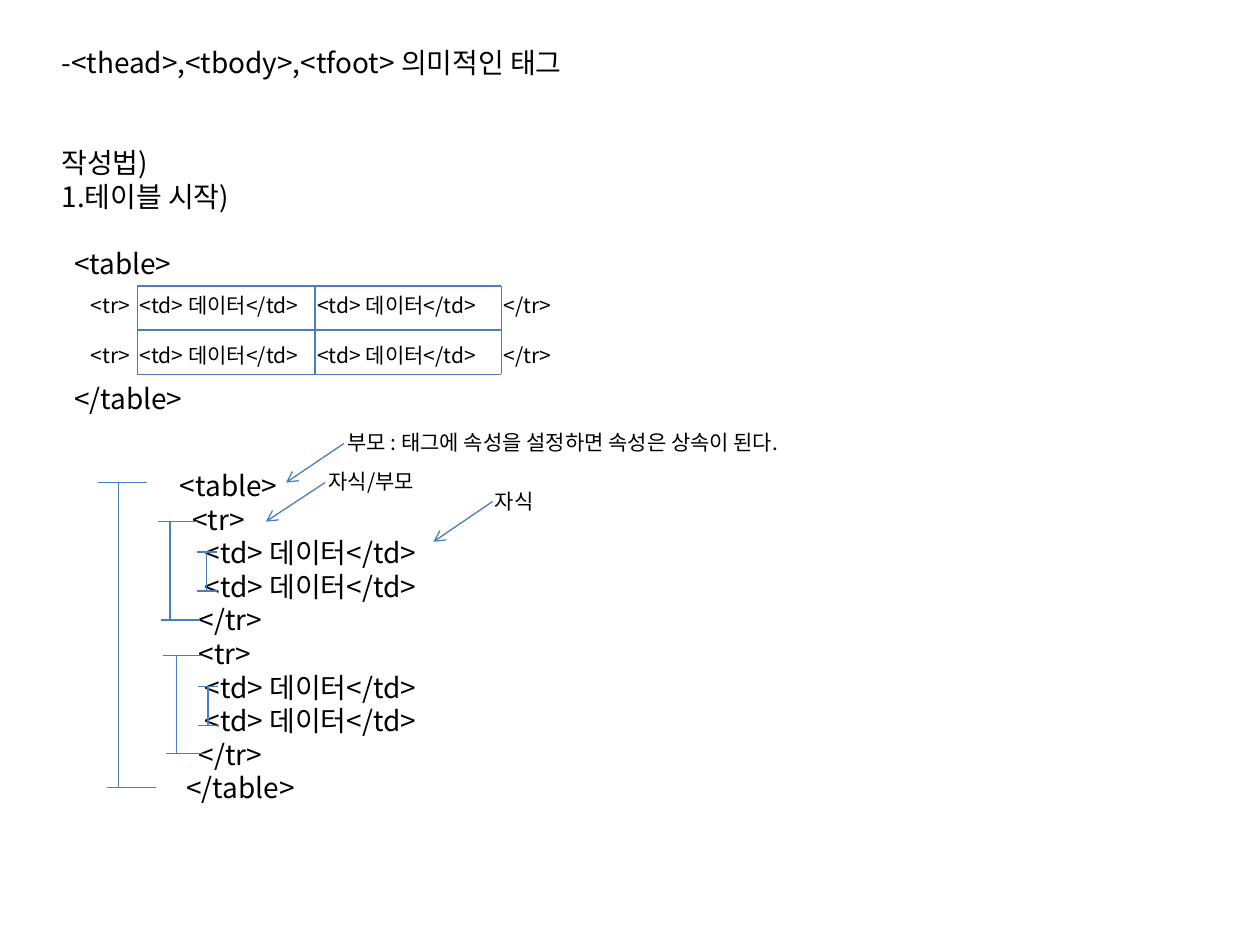
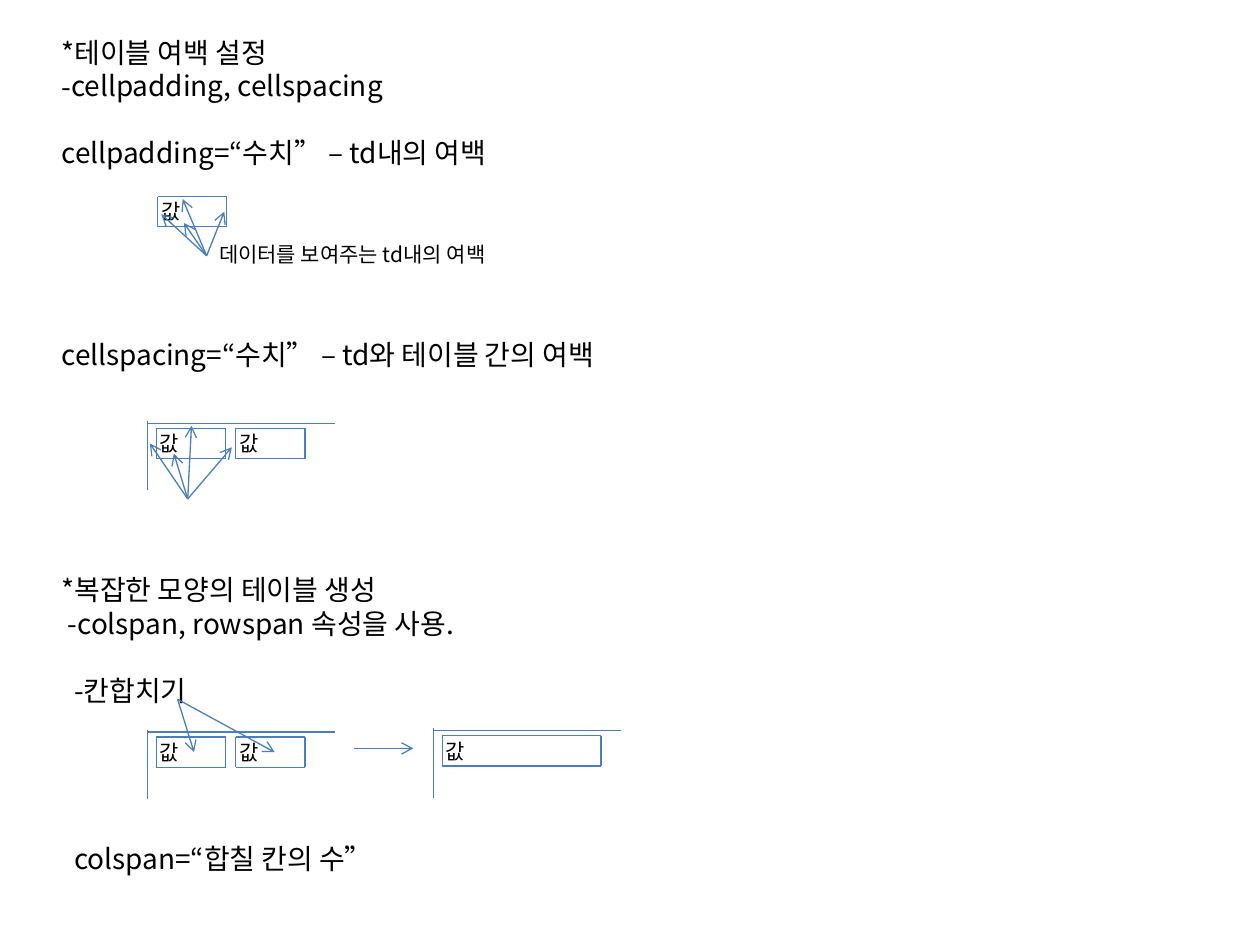
from pptx import Presentation
from pptx.dml.color import RGBColor
from pptx.enum.shapes import MSO_CONNECTOR as Conn
from pptx.enum.text import MSO_AUTO_SIZE as Auto
from pptx.oxml.ns import qn
from pptx.util import Pt
from lxml import etree

PX = 9144  # 100 px to the inch
INK = RGBColor(0, 0, 0)
BLUE = RGBColor(0x4B, 0x7E, 0xBC)
FONT = "Noto Sans CJK KR"
BIG, SMALL, LEAD = 16, 12, 1.2

# Body text: (row, indent, bullet, text)
SYNTAX = [
    (0, 0, "", "-<thead>,<tbody>,<tfoot> 의미적인 태그"),
    (3, 0, "", "작성법)"),
    (4, 0, "", "1.테이블 시작)"),
    (6, 0, "", "  <table>"),
    (10, 0, "", "  </table>"),
]
ROW = ["    <td> 데이터</td>"] * 2 + ["   </tr>"]
TREE = ["<table>", "  <tr>", *ROW, "   <tr>", *ROW, " </table>"]
SPACING = [
    (0, 0, "", "*테이블 여백 설정"),
    (1, 0, "-", "cellpadding, cellspacing"),
    (3, 0, "", "cellpadding=“수치” – td내의 여백"),
    (9, 0, "", "cellspacing=“수치” – td와 테이블 간의 여백"),
    (16, 0, "", "*복잡한 모양의 테이블 생성"),
    (17, 5, "", "-colspan, rowspan 속성을 사용."),
    (19, 10, "", "-칸합치기"),
    (24, 10, "", "colspan=“합칠 칸의 수”"),
]

# Sample grid: column and row edges, then (left, width, text) of each row
COLS, ROWS = (109, 250, 398), (227, 262, 297)
TD = "<td> 데이터</td>"
GRID = [(62, 55, "<tr>"), (101, 162, TD), (242, 162, TD), (390, 62, "</tr>")]

# Nesting brackets: (top bar left, bottom bar left, bar width, stem offset, top, bottom)
NESTS = [
    (156, 156, 16, 8, 438, 469),
    (157, 157, 16, 8, 545, 576),
    (125, 128, 31, 10, 414, 492),
    (129, 132, 31, 11, 520, 598),
    (78, 85, 39, 16, 383, 625),
]
# Notes: (left, top, width, text), arrow from and to
NOTES = [
    ((266, 336, 406, "부모 : 태그에 속성을 설정하면 속성은 상속이 된다."), (273, 352, 227, 383)),
    ((251, 367, 90, "자식/부모"), (258, 383, 211, 414)),
    ((383, 383, 54, "자식"), (391, 398, 344, 430)),
]

# Cells: (left, top, width); frames: (left, top)
CELLS = [(125, 156, 55), (124, 340, 55), (187, 340, 55),
         (124, 585, 55), (187, 585, 55), (351, 584, 126)]
FRAMES = [(117, 336), (117, 581), (344, 580)]
TALL = 24
# Arrows: from, list of ends
FANS = [
    ((164, 203), [(128, 170), (145, 158), (178, 168), (146, 177)]),
    ((149, 396), [(119, 352), (152, 338), (184, 355), (138, 360)]),
    ((141, 555), [(154, 597), (218, 597)]),
    ((281, 594), [(328, 594)]),
]


def line(slide, x1, y1, x2, y2, arrow=False):
    wire = slide.shapes.add_connector(Conn.STRAIGHT, *(v * PX for v in (x1, y1, x2, y2)))
    wire.line.color.rgb = BLUE
    wire.line.width = Pt(0.75)
    props = wire.line._get_or_add_ln()
    if arrow:
        etree.SubElement(props, qn("a:tailEnd"), type="arrow")
    etree.SubElement(props.getparent(), qn("a:effectLst"))


def text(slide, left, top, wide, tall, size, rows):
    box = slide.shapes.add_textbox(*(v * PX for v in (left, top, wide, tall)))
    frame = box.text_frame
    frame.word_wrap = True
    frame.auto_size = Auto.NONE
    last = -1
    for i, (row, indent, bullet, words) in enumerate(rows):
        para = frame.paragraphs[0] if i == 0 else frame.add_paragraph()
        para.line_spacing = Pt(size * LEAD)
        if row - last > 1:
            para.space_before = Pt((row - last - 1) * size * LEAD)
        last = row
        props = para._p.get_or_add_pPr()
        if indent:
            props.set("marL", str(indent * PX))
            props.set("indent", "0")
        if bullet:
            etree.SubElement(props, qn("a:buFont"), typeface=FONT)
            etree.SubElement(props, qn("a:buChar"), char=bullet)
        run = para.add_run()
        run.text = words
        font = run.font
        font.name, font.size, font.color.rgb = FONT, Pt(size), INK
        etree.SubElement(run._r.get_or_add_rPr(), qn("a:ea"), typeface=FONT)


def label(slide, left, top, wide, words):
    text(slide, left, top, wide, 30, SMALL, [(0, 0, "", words)])


def cell(slide, left, top, wide):
    right, base = left + wide, top + TALL
    for y in (top, base):
        line(slide, left, y, right, y)
    for x in (left, right):
        line(slide, x, top, x, base)
    label(slide, left - 7, top - 3, 37, "값")


def syntax(slide):
    text(slide, 39, 31, 451, 306, BIG, SYNTAX)
    # Sample grid
    for x in COLS:
        line(slide, x, ROWS[0], x, ROWS[-1])
    for y in ROWS:
        line(slide, COLS[0], y, COLS[-1], y)
    for top in (227, 267):
        for left, wide, words in GRID:
            label(slide, left, top, wide, words)
    # Nested tags and brackets
    text(slide, 133, 367, 241, 279, BIG, [(i, 0, "", t) for i, t in enumerate(TREE)])
    for left, foot, wide, stem, top, base in NESTS:
        line(slide, left, top, left + wide, top)
        line(slide, foot, base, foot + wide, base)
        line(slide, left + stem, top, left + stem, base)
    for note, arrow in NOTES:
        line(slide, *arrow, arrow=True)
        label(slide, *note)


def spacing(slide):
    text(slide, 39, 23, 461, 710, BIG, SPACING)
    for spot in CELLS:
        cell(slide, *spot)
    # Open table corners
    for left, top in FRAMES:
        line(slide, left, top - 2, left, top + 53)
        line(slide, left, top, left + 149, top)
    label(slide, 164, 187, 256, "데이터를 보여주는 td내의 여백")
    for start, ends in FANS:
        for end in ends:
            line(slide, *start, *end, arrow=True)


def main():
    deck = Presentation()
    deck.slide_width, deck.slide_height = 1000 * PX, 750 * PX
    for build in (syntax, spacing):
        build(deck.slides.add_slide(deck.slide_layouts[6]))
    deck.save("out.pptx")


if __name__ == "__main__":
    main()
